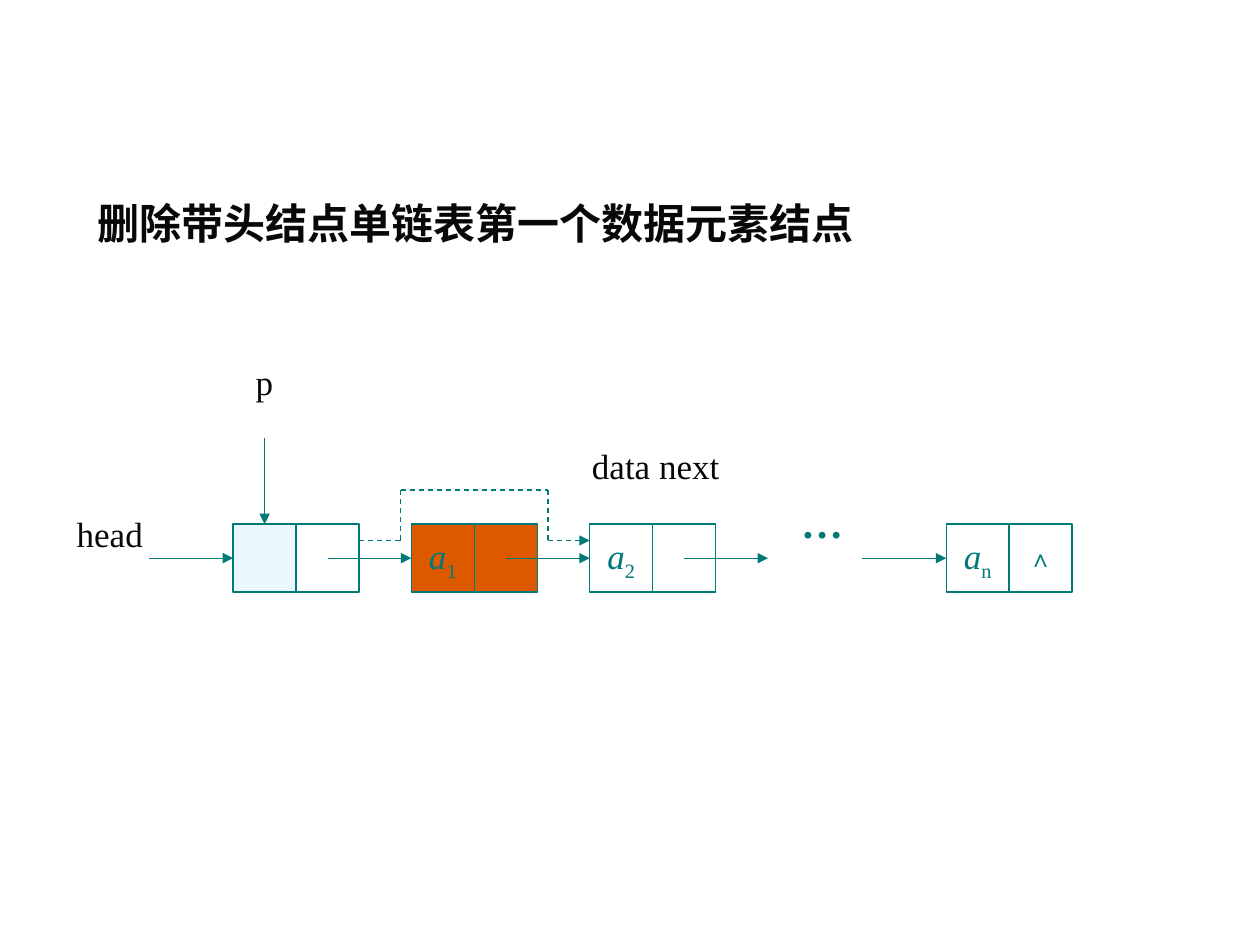
from itertools import pairwise

from lxml.etree import SubElement
from pptx import Presentation
from pptx.dml.color import RGBColor
from pptx.enum.dml import MSO_LINE
from pptx.enum.shapes import MSO_CONNECTOR, MSO_SHAPE
from pptx.enum.text import MSO_ANCHOR, PP_ALIGN
from pptx.oxml.ns import qn
from pptx.util import Inches, Pt

TEAL = RGBColor(0x00, 0x7A, 0x77)
INK = RGBColor(0x08, 0x08, 0x08)
PALE_BLUE = RGBColor(0xEB, 0xF7, 0xFF)
ORANGE = RGBColor(0xDC, 0x59, 0x00)
FONT = "Times New Roman"

CELL_W, CELL_H = 0.5, 0.54
PITCH = 5.66 / 4  # distance from one node to the next

# slot, data fill, next fill, data subscript, next text
NODES = [
    (0, PALE_BLUE, None, "", ""),
    (1, ORANGE, ORANGE, "1", ""),
    (2, None, None, "2", ""),
    (4, None, None, "n", "∧"),
]


def style_run(r, size, color, bold=False, italic=False):
    r.font.name = FONT
    r.font.size = Pt(size)
    r.font.color.rgb = color
    r.font.bold = bold
    r.font.italic = italic


def add_title(s, x, y, w, h):
    title = s.shapes.title
    title.left, title.top, title.width, title.height = map(Inches, (x, y, w, h))
    tf = title.text_frame
    tf.text = "删除带头结点单链表第一个数据元素结点"
    tf.word_wrap = True
    tf.vertical_anchor = MSO_ANCHOR.TOP
    p = tf.paragraphs[0]
    p.alignment = PP_ALIGN.LEFT
    p.line_spacing = 1.0
    p.space_before = Pt(0)
    style_run(p.runs[0], 24, INK, bold=True)


def add_label(s, text, x, y, w, h=0.44, size=20, color=INK, bold=False):
    tf = s.shapes.add_textbox(*map(Inches, (x, y, w, h))).text_frame
    tf.text = text
    tf.word_wrap = True
    style_run(tf.paragraphs[0].runs[0], size, color, bold)


def add_line(s, start, end, arrow=True, dashed=False):
    line = s.shapes.add_connector(MSO_CONNECTOR.STRAIGHT, *map(Inches, (*start, *end)))
    line.line.color.rgb = TEAL
    line.line.width = Pt(0.75)
    if dashed:
        line.line.dash_style = MSO_LINE.DASH
    if arrow:
        SubElement(line.line._get_or_add_ln(), qn("a:tailEnd"), type="triangle")
    SubElement(line._element.spPr, qn("a:effectLst"))
    return line


def add_cell(s, x, y, fill):
    cell = s.shapes.add_shape(MSO_SHAPE.RECTANGLE, *map(Inches, (x, y, CELL_W, CELL_H)))
    cell.shadow.inherit = False
    if fill is None:
        cell.fill.background()
    else:
        cell.fill.solid()
        cell.fill.fore_color.rgb = fill
    cell.line.color.rgb = TEAL
    cell.line.width = Pt(0.75)
    tf = cell.text_frame
    tf.word_wrap = False
    tf.vertical_anchor = MSO_ANCHOR.MIDDLE
    tf.paragraphs[0].alignment = PP_ALIGN.CENTER
    return cell


def add_node(s, x, y, data_fill, next_fill, subscript, next_text):
    """Draw a data cell and a next cell; return the data cell."""
    data = add_cell(s, x, y, data_fill)
    if subscript:
        p = data.text_frame.paragraphs[0]
        for text in ("a", subscript):
            r = p.add_run()
            r.text = text
            style_run(r, 20, TEAL, italic=text == "a")
        r.font._element.set("baseline", "-25000")
    pointer = add_cell(s, x + CELL_W, y, next_fill)
    if next_text:
        r = pointer.text_frame.paragraphs[0].add_run()
        r.text = next_text
        style_run(r, 14, TEAL, bold=True)
    return data


def add_linked_list(s, x, y):
    data_cells = {
        slot: add_node(s, x + slot * PITCH, y, *node) for slot, *node in NODES
    }

    mid = y + CELL_H / 2
    for slot in range(-1, 4):
        start = x + slot * PITCH + 1.5 * CELL_W
        arrow = add_line(s, (start, mid), (x + (slot + 1) * PITCH, mid))
        if slot + 1 in data_cells:
            arrow.end_connect(data_cells[slot + 1], 1)

    p_x = x + CELL_W / 2
    add_line(s, (p_x, y - 0.68), (p_x, y)).end_connect(data_cells[0], 0)

    low, high = y + 0.13, y - 0.27
    bypass = [(x + 1, low), (x + 1.33, low), (x + 1.33, high),
              (x + 2.5, high), (x + 2.5, low), (x + 2 * PITCH, low)]
    for start, end in pairwise(bypass):
        add_line(s, start, end, arrow=end == bypass[-1], dashed=True)

    add_label(s, "p", x + 0.08, y - 1.35, 0.42)
    add_label(s, "head", x - 1.34, y - 0.14, 0.75)
    add_label(s, "data next", x + 2.75, y - 0.68, 1.33)
    add_label(s, "…", x + 4.41, y - 0.27, 0.75, 0.5, 24, TEAL, bold=True)


def main():
    prs = Presentation()
    prs.slide_width, prs.slide_height = Inches(10), Inches(7.5)
    s = prs.slides.add_slide(prs.slide_layouts[5])
    add_title(s, 0.67, 1.52, 7.33, 0.5)
    add_linked_list(s, 1.85, 4.16)
    prs.save("out.pptx")


if __name__ == "__main__":
    main()
